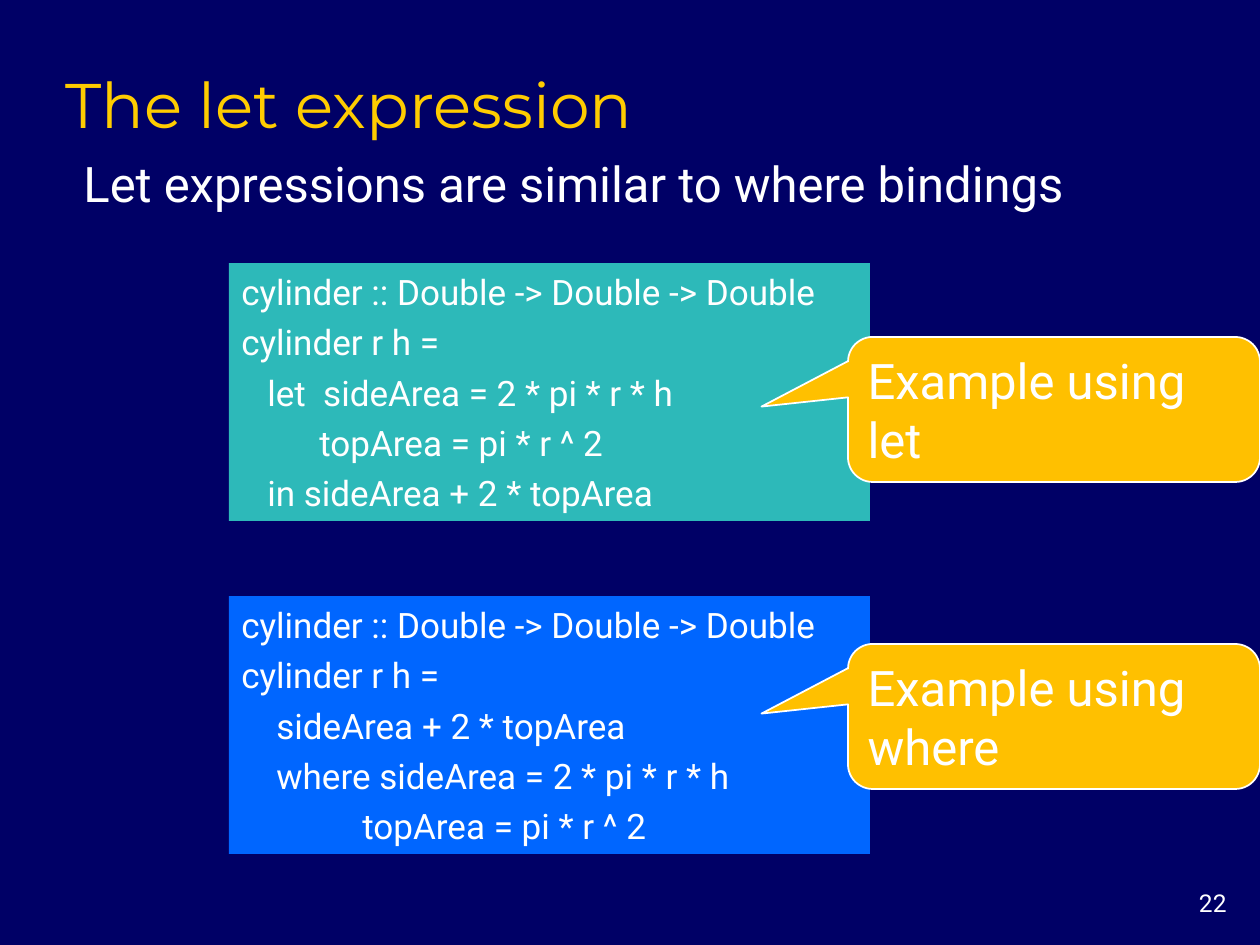
import pptx
import pptx.util
from pptx.dml.color import RGBColor
from pptx.enum.shapes import MSO_SHAPE
from pptx.enum.text import MSO_ANCHOR, MSO_AUTO_SIZE, PP_ALIGN

NAVY = RGBColor(0x00, 0x00, 0x66)
GOLD = RGBColor(0xFF, 0xCC, 0x00)
AMBER = RGBColor(0xFF, 0xC0, 0x00)
TEAL = RGBColor(0x2D, 0xB9, 0xB9)
BLUE = RGBColor(0x00, 0x66, 0xFF)
WHITE = RGBColor(0xFF, 0xFF, 0xFF)

TITLE = "The let expression"
BODY = "Let expressions are similar to where bindings"
PAGE_NUMBER = "22"

# Code lines are (indent in px, text).
SIGNATURE = [(0, "cylinder :: Double -> Double -> Double"), (0, "cylinder r h =")]
EXAMPLES = [
    {
        "top": 596, "fill": BLUE, "callout_top": 644, "label": "Example using where",
        "code": SIGNATURE + [
            (35, "sideArea + 2 * topArea"),
            (35, "where sideArea = 2 * pi * r * h"),
            (121, "topArea = pi * r ^ 2"),
        ],
    },
    {
        "top": 263, "fill": TEAL, "callout_top": 337, "label": "Example using let",
        "code": SIGNATURE + [
            (26, "let  sideArea = 2 * pi * r * h"),
            (78, "topArea = pi * r ^ 2"),
            (26, "in sideArea + 2 * topArea"),
        ],
    },
]
CODE_LEFT, CODE_WIDTH, CODE_HEIGHT = 229, 641, 258
CALLOUT_LEFT, CALLOUT_WIDTH, CALLOUT_HEIGHT = 848, 412, 145
CALLOUT_ADJUSTMENTS = (-0.71, -0.02, 0.17)


def px(length):
    return pptx.util.Emu(round(length * 914400 / 126))


def write(shape, lines, size, color=WHITE, font="Roboto", align=PP_ALIGN.LEFT,
          anchor=MSO_ANCHOR.TOP, wrap=True, space_before=0):
    """Fill a shape with (indent, text) lines, one paragraph each."""
    frame = shape.text_frame
    frame.word_wrap = wrap
    frame.vertical_anchor = anchor
    for index, (indent, text) in enumerate(lines):
        para = frame.add_paragraph() if index else frame.paragraphs[0]
        para.alignment = align
        para.space_before = pptx.util.Pt(space_before)
        if indent:
            para._p.get_or_add_pPr().set("marL", str(px(indent)))
        span = para.add_run()
        span.text = text
        span.font.name = font
        span.font.size = pptx.util.Pt(size)
        span.font.color.rgb = color


def add_text(page, bounds, text, size, **style):
    box = page.shapes.add_textbox(*map(px, bounds))
    write(box, [(0, text)], size, **style)


def add_panel(page, kind, bounds, fill):
    panel = page.shapes.add_shape(kind, *map(px, bounds))
    panel.shadow.inherit = False
    panel.fill.solid()
    panel.fill.fore_color.rgb = fill
    panel.line.fill.background()
    panel.text_frame.auto_size = MSO_AUTO_SIZE.SHAPE_TO_FIT_TEXT
    return panel


def add_code(page, example):
    bounds = (CODE_LEFT, example["top"], CODE_WIDTH, CODE_HEIGHT)
    panel = add_panel(page, MSO_SHAPE.RECTANGLE, bounds, example["fill"])
    write(panel, example["code"], 20, anchor=MSO_ANCHOR.MIDDLE, wrap=False,
          space_before=4.6)


def add_callout(page, example):
    bounds = (CALLOUT_LEFT, example["callout_top"], CALLOUT_WIDTH, CALLOUT_HEIGHT)
    callout = add_panel(page, MSO_SHAPE.ROUNDED_RECTANGULAR_CALLOUT, bounds, AMBER)
    for index, value in enumerate(CALLOUT_ADJUSTMENTS):
        callout.adjustments[index] = value
    callout.line.color.rgb = WHITE
    callout.line.width = pptx.util.Pt(1)
    write(callout, [(0, example["label"])], 28, anchor=MSO_ANCHOR.MIDDLE)


def main():
    deck = pptx.Presentation()
    deck.slide_width, deck.slide_height = px(1260), px(945)
    page = deck.slides.add_slide(deck.slide_layouts[6])
    page.background.fill.solid()
    page.background.fill.fore_color.rgb = NAVY

    add_text(page, (53, 53, 1071, 94), TITLE, 36, color=GOLD, font="Montserrat",
             anchor=MSO_ANCHOR.BOTTOM)
    add_text(page, (71, 147, 1126, 683), BODY, 28, space_before=3)
    add_text(page, (1155, 882, 84, 42), PAGE_NUMBER, 14, align=PP_ALIGN.RIGHT)
    for example in EXAMPLES:
        add_code(page, example)
    for example in reversed(EXAMPLES):
        add_callout(page, example)

    deck.save("out.pptx")


if __name__ == "__main__":
    main()
